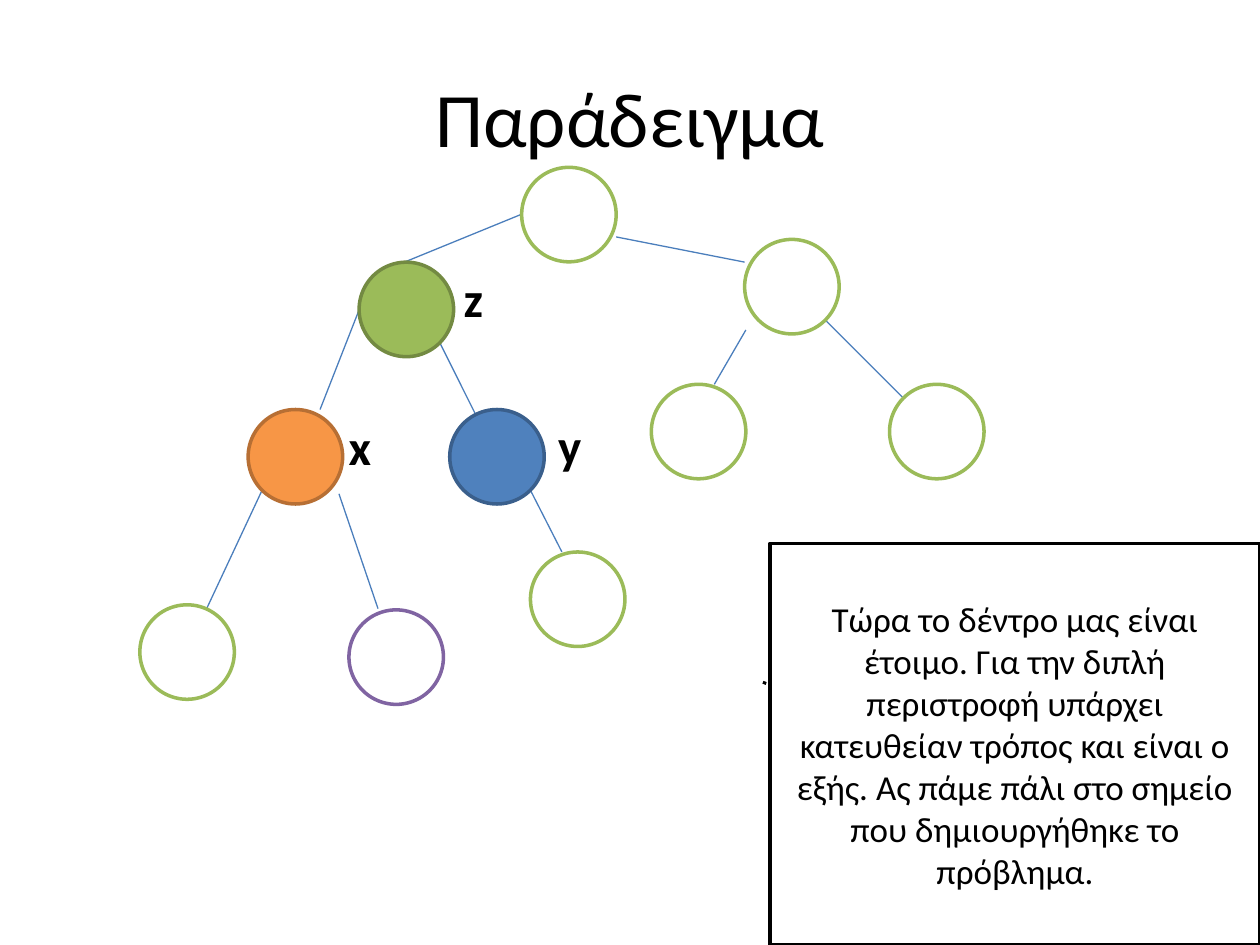
from dataclasses import dataclass

from lxml import etree
from pptx import Presentation
from pptx.dml.color import RGBColor
from pptx.enum.shapes import MSO_CONNECTOR, MSO_SHAPE
from pptx.enum.text import MSO_ANCHOR, MSO_AUTO_SIZE, PP_ALIGN
from pptx.oxml.ns import qn
from pptx.util import Pt

CENTER, LEFT = PP_ALIGN.CENTER, PP_ALIGN.LEFT
MIDDLE = MSO_ANCHOR.MIDDLE
CIRCLE, CALLOUT = MSO_SHAPE.OVAL, MSO_SHAPE.LINE_CALLOUT_1
STRAIGHT = MSO_CONNECTOR.STRAIGHT
FIT_SHAPE = MSO_AUTO_SIZE.SHAPE_TO_FIT_TEXT


@dataclass(frozen=True)
class Theme:
    font: str = "Calibri"
    title_size: int = 44
    label_size: int = 28
    note_size: int = 20
    ink: str = "000000"
    paper: str = "FFFFFF"
    edge: str = "4B7EBC"
    edge_width: float = 0.75
    outline_width: float = 2


THEME = Theme()

TITLE = "Παράδειγμα"
TITLE_BOX = (36, 21.6, 648, 90)
NOTE = ("Τώρα το δέντρο μας είναι έτοιμο. Για την διπλή περιστροφή υπάρχει "
        "κατευθείαν τρόπος και είναι ο εξής. Ας πάμε πάλι στο σημείο που "
        "δημιουργήθηκε το πρόβλημα.")
NOTE_BOX = (440, 310.5, 280, 229.5)
NOTE_POINTER = (0.351, -0.012, 0.344, -0.01)

NODE_SIZE = 54
LABEL_SIZE = (54, 41.2)

# role: (fill, outline)
NODE_COLOURS = {
    "plain": (THEME.paper, "9BBB59"),
    "added": (THEME.paper, "8064A2"),
    "x": ("F79646", "B76F34"),
    "y": ("4F81BD", "3A5F8C"),
    "z": ("9BBB59", "738A42"),
}
# (role, left, top)
NODES = [
    ("plain", 298.1, 95.6),
    ("z", 205.2, 149.8),
    ("plain", 425.5, 136.8),
    ("x", 141.8, 234),
    ("y", 257, 234),
    ("plain", 372.2, 219.6),
    ("plain", 508.3, 219.6),
    ("plain", 79.9, 345.6),
    ("added", 199.4, 348.5),
    ("plain", 303.1, 315.4),
]
# (parent end, child end)
EDGES = [
    ((298.1, 122.4), (231.1, 149.8)),
    ((352.1, 135.4), (425.5, 149.8)),
    ((205.2, 177.1), (182.9, 234)),
    ((251.3, 195.8), (273.6, 240.5)),
    ((426.2, 188.6), (408.2, 219.6)),
    ((471.6, 182.9), (516.2, 227.5)),
    ((149.8, 280.1), (118.1, 347.8)),
    ((193.7, 282.2), (216, 347.8)),
    ((303.1, 280.1), (321.1, 315.4)),
]
# (text, left, top)
LABELS = [("x", 192.2, 234.7), ("y", 311.8, 234), ("z", 257.8, 149.8)]


def points(values):
    return [Pt(value) for value in values]


def write(frame, text, size, align, bold=False):
    frame.word_wrap = True
    paragraph = frame.paragraphs[0]
    paragraph.alignment = align
    run = paragraph.add_run()
    run.text = text
    run.font.name = THEME.font
    run.font.size = Pt(size)
    run.font.bold = bold
    run.font.color.rgb = RGBColor.from_string(THEME.ink)


def add_outlined(slide, kind, box, fill, outline):
    shape = slide.shapes.add_shape(kind, *points(box))
    shape.shadow.inherit = False
    shape.fill.solid()
    shape.fill.fore_color.rgb = RGBColor.from_string(fill)
    shape.line.color.rgb = RGBColor.from_string(outline)
    shape.line.width = Pt(THEME.outline_width)
    return shape


def add_edge(slide, parent_end, child_end):
    edge = slide.shapes.add_connector(STRAIGHT, *points(parent_end + child_end))
    edge.line.color.rgb = RGBColor.from_string(THEME.edge)
    edge.line.width = Pt(THEME.edge_width)
    etree.SubElement(edge._element.spPr, qn("a:effectLst"))


def add_title(slide):
    title = slide.shapes.title
    title.left, title.top, title.width, title.height = points(TITLE_BOX)
    title.text_frame.vertical_anchor = MIDDLE
    write(title.text_frame, TITLE, THEME.title_size, CENTER)


def add_note(slide):
    note = add_outlined(slide, CALLOUT, NOTE_BOX, THEME.paper, THEME.ink)
    for index, value in enumerate(NOTE_POINTER):
        note.adjustments[index] = value
    note.text_frame.vertical_anchor = MIDDLE
    write(note.text_frame, NOTE, THEME.note_size, CENTER)


def main():
    deck = Presentation()
    deck.slide_width, deck.slide_height = Pt(720), Pt(540)
    slide = deck.slides.add_slide(deck.slide_layouts[5])

    add_title(slide)
    for parent_end, child_end in EDGES:
        add_edge(slide, parent_end, child_end)
    for role, left, top in NODES:
        add_outlined(slide, CIRCLE, (left, top, NODE_SIZE, NODE_SIZE),
                     *NODE_COLOURS[role])
    for text, left, top in LABELS:
        label = slide.shapes.add_textbox(*points((left, top, *LABEL_SIZE)))
        write(label.text_frame, text, THEME.label_size, LEFT, bold=True)
        label.text_frame.auto_size = FIT_SHAPE
    add_note(slide)

    deck.save("out.pptx")


if __name__ == "__main__":
    main()
